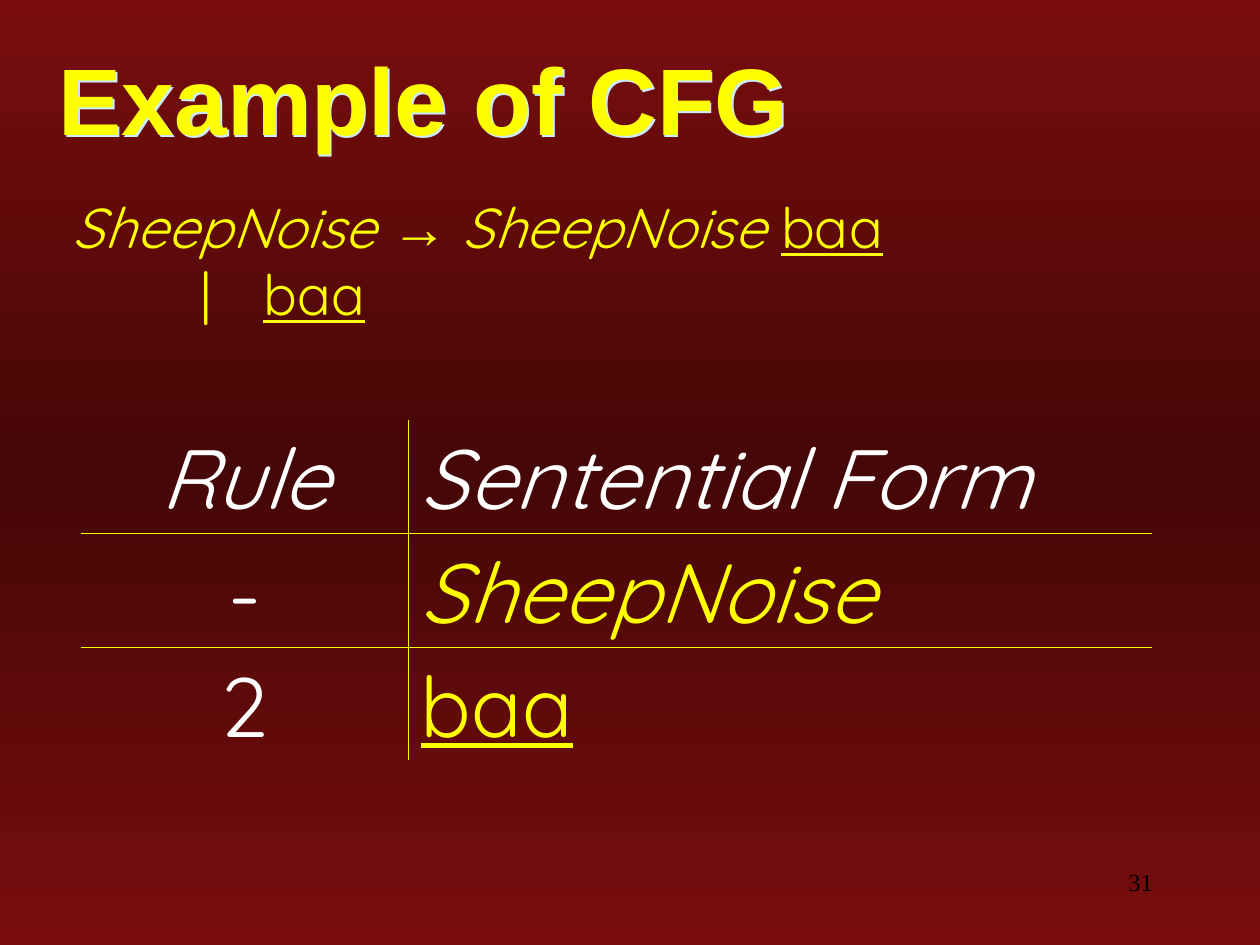
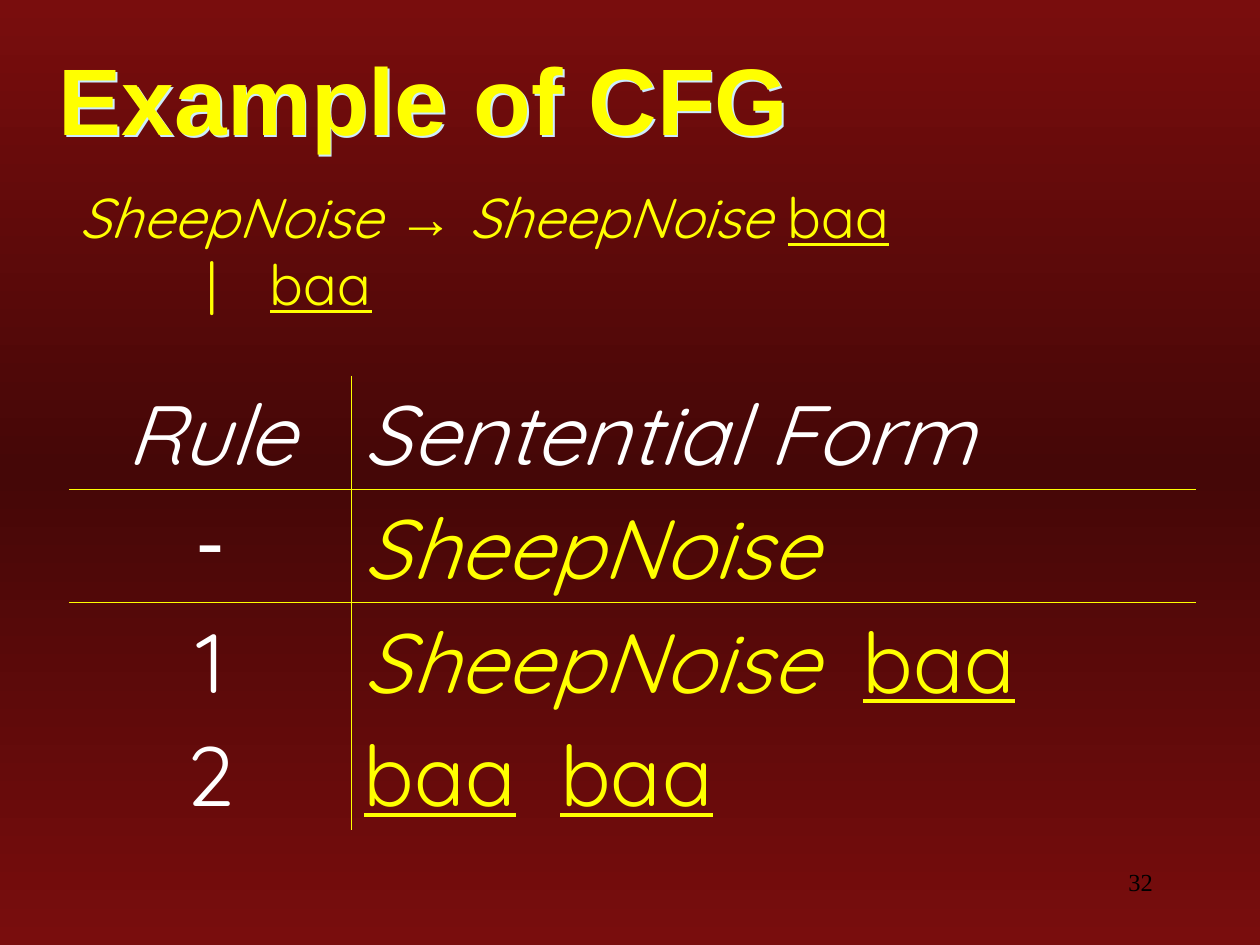
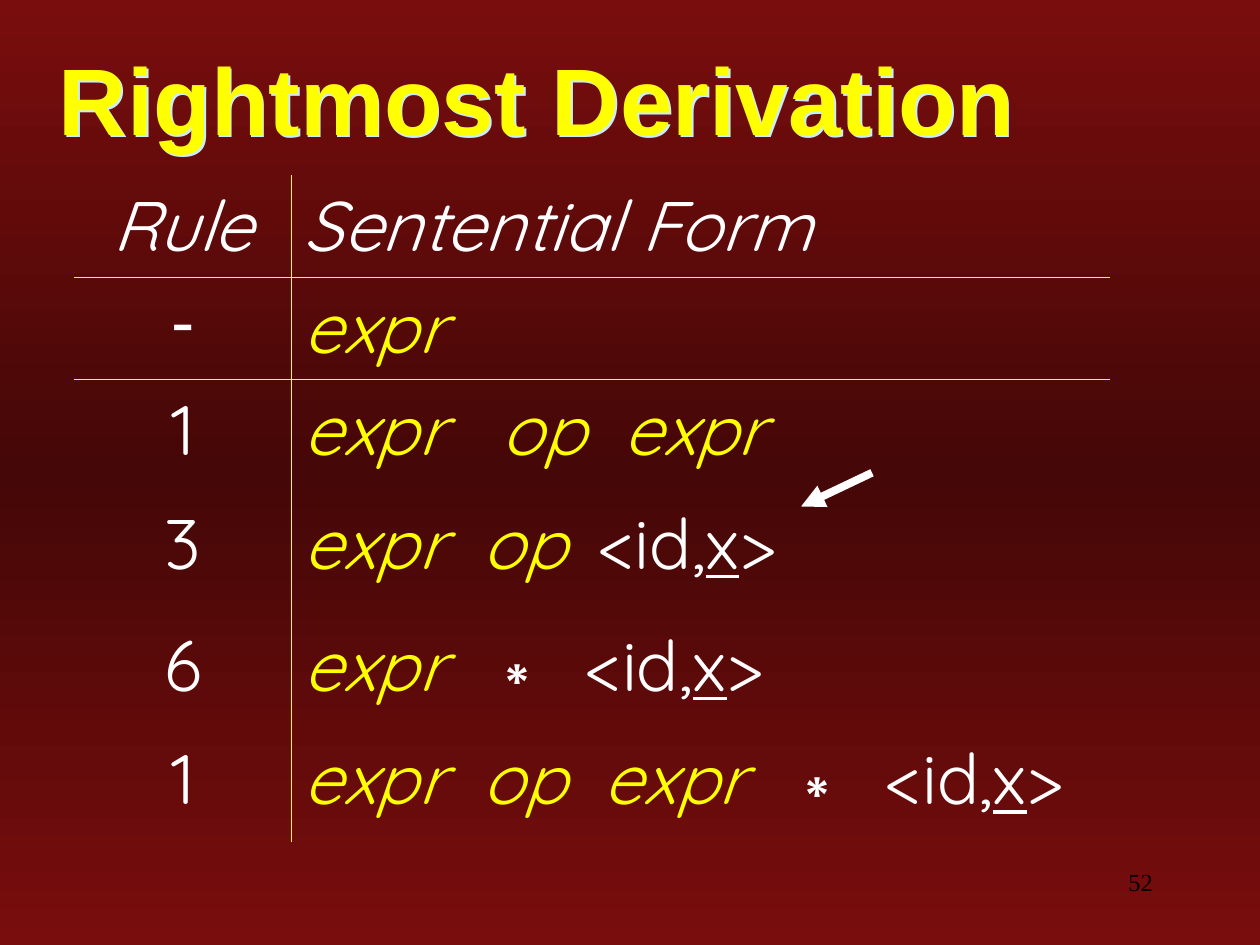
from copy import deepcopy
from dataclasses import dataclass
from typing import NamedTuple

from lxml.etree import SubElement
from pptx import Presentation
from pptx.dml.color import RGBColor
from pptx.enum.shapes import MSO_CONNECTOR
from pptx.enum.text import MSO_ANCHOR, PP_ALIGN
from pptx.oxml.ns import qn
from pptx.util import Cm, Pt

YELLOW = RGBColor(0xFF, 0xFF, 0x00)
WHITE = RGBColor(0xFF, 0xFF, 0xFF)
BLACK = RGBColor(0x00, 0x00, 0x00)
PALE_BLUE = RGBColor(0xCC, 0xEC, 0xFF)
RED = RGBColor(0x79, 0x0D, 0x0D)
DARK_RED = RGBColor(0x45, 0x07, 0x07)

BODY_FONT = "Quicksand"
SYMBOL_FONT = "Arial"
NUMBER_FONT = "Times New Roman"
PLAIN_TABLE_STYLE = "{2D5ABB26-0587-4C30-8999-92F81FD0307C}"
HANGING = 1.3
BAR_TO_TERMINAL = 1.17


class Span(NamedTuple):
    """A piece of text in one format."""
    text: str
    color: RGBColor = WHITE
    italic: bool = False
    underline: bool = False
    font: str = BODY_FONT


class Box(NamedTuple):
    """A place on the slide in centimetres."""
    left: float
    top: float
    width: float
    height: float


class Step(NamedTuple):
    """One derivation step: the rule applied and the form it gives."""
    rule: Span
    form: tuple[Span, ...]
    stops: tuple[float, ...] = ()
    height: float = 2.29


@dataclass
class Derivation:
    """A table of derivation steps."""
    left: float
    top: float
    rule_width: float
    form_width: float
    size: int
    steps: tuple[Step, ...]
    header_height: float = 2.29


@dataclass
class Lesson:
    """The content of one slide."""
    title: str
    number: int
    derivation: Derivation
    grammar_box: Box | None = None
    bar_stop: float = 0
    arrow: tuple[float, float, float, float] | None = None


def nonterminal(text: str) -> Span:
    """Return a grammar symbol that can still be expanded."""
    return Span(text, YELLOW, italic=True)


GAP = Span("\t", YELLOW)
BAA = Span("baa", YELLOW, underline=True)
SHEEP_NOISE = nonterminal("SheepNoise")
TIMES = Span("∗", font=SYMBOL_FONT)
START = Span("-", font=SYMBOL_FONT)
ID_X = (Span("<id,"), Span("x", underline=True), Span(">"))
HEADER = Step(Span("Rule", italic=True), (Span("Sentential Form", italic=True),))

TITLE_BOX = Box(0.94, 0.91, 24.46, 2.11)
NUMBER_BOX = Box(18.21, 17.35, 5.28, 1.27)

LESSONS = (
    Lesson(
        "Example of CFG", 31,
        Derivation(1.63, 8.46, 6.6, 15, 48, (
            Step(Span("-"), (SHEEP_NOISE,)),
            Step(Span("2"), (BAA,)),
        )),
        grammar_box=Box(1.22, 3.76, 24.77, 3.23), bar_stop=7.62,
    ),
    Lesson(
        "Example of CFG", 32,
        Derivation(1.4, 7.57, 5.68, 17.03, 48, (
            Step(START, (SHEEP_NOISE,)),
            Step(Span("1"), (SHEEP_NOISE, GAP, BAA), (10.06,)),
            Step(Span("2"), (BAA, GAP, BAA), (3.96,)),
        )),
        grammar_box=Box(1.35, 3.56, 24.77, 3.15), bar_stop=10.16,
    ),
    Lesson(
        "Rightmost Derivation", 52,
        Derivation(1.5, 3.53, 4.37, 16.51, 40, (
            Step(START, (nonterminal("expr"),), height=2.06),
            Step(Span("1"), (nonterminal("expr\top\texpr"),), (3.99, 6.45)),
            Step(Span("3"), (nonterminal("expr\top\t"), *ID_X), (3.61, 5.94), 2.46),
            Step(Span("6"), (nonterminal("expr\t"), TIMES, GAP, *ID_X), (3.61, 5.68)),
            Step(Span("1"), (nonterminal("expr\top\texpr\t"), TIMES, GAP, *ID_X),
                 (3.61, 6.05, 9.65, 11.73)),
        ), header_height=2.06),
        arrow=(17.58, 9.53, 16.15, 10.21),
    ),
)


def write_text(paragraph, text: str, *, size: int, color: RGBColor, font: str = BODY_FONT,
               bold: bool = False, italic: bool = False, underline: bool = False) -> None:
    """Append a formatted run to a paragraph."""
    run = paragraph.add_run()
    run.text = text
    run.font.size = Pt(size)
    run.font.name = font
    run.font.color.rgb = color
    run.font.bold = bold
    run.font.italic = italic
    run.font.underline = underline


def write_spans(paragraph, spans: tuple[Span, ...], size: int) -> None:
    """Append several spans of one size."""
    for span in spans:
        write_text(paragraph, size=size, **span._asdict())


def set_tab_stops(paragraph, stops: tuple[float, ...]) -> None:
    """Give a paragraph left tab stops in centimetres."""
    if stops:
        tabs = SubElement(paragraph._p.get_or_add_pPr(), qn("a:tabLst"))
        for stop in stops:
            SubElement(tabs, qn("a:tab"), pos=str(Cm(stop)), algn="l")


def add_box(slide, box: Box):
    """Add a wrapping text box."""
    area = slide.shapes.add_textbox(*(Cm(length) for length in box))
    area.text_frame.word_wrap = True
    return area


def add_title(slide, title: str) -> None:
    """Add the slide title with its thin pale shadow."""
    heading = add_box(slide, TITLE_BOX)
    heading.text_frame.vertical_anchor = MSO_ANCHOR.MIDDLE
    write_text(heading.text_frame.paragraphs[0], title, size=54, color=YELLOW,
               font=SYMBOL_FONT, bold=True)
    effects = SubElement(heading._element.spPr, qn("a:effectLst"))
    shadow = SubElement(effects, qn("a:outerShdw"), dist=str(Pt(1.5)), dir="2700000")
    SubElement(shadow, qn("a:srgbClr"), val=str(PALE_BLUE))


def add_number(slide, number: int) -> None:
    """Add the slide number."""
    paragraph = add_box(slide, NUMBER_BOX).text_frame.paragraphs[0]
    paragraph.alignment = PP_ALIGN.RIGHT
    write_text(paragraph, str(number), size=14, color=BLACK, font=NUMBER_FONT)


def add_grammar(slide, box: Box, bar_stop: float) -> None:
    """Add the two productions of the sheep noise grammar."""
    productions = add_box(slide, box).text_frame.paragraphs[0]
    properties = productions._p.get_or_add_pPr()
    properties.set("marL", str(Cm(HANGING)))
    properties.set("indent", str(-Cm(HANGING)))
    set_tab_stops(productions, (bar_stop, bar_stop + BAR_TO_TERMINAL))
    write_spans(productions, (
        nonterminal("SheepNoise "), Span("→", YELLOW, True, font=SYMBOL_FONT),
        nonterminal(" SheepNoise "), BAA), 32)
    productions.add_line_break()
    write_spans(productions, (Span("\t|\t", YELLOW), BAA), 32)


def set_border(cell, side: str) -> None:
    """Draw one thin side of a cell."""
    properties = cell._tc.get_or_add_tcPr()
    line = SubElement(properties, qn(f"a:{side}"), w=str(Pt(0.45)))
    SubElement(SubElement(line, qn("a:solidFill")), qn("a:srgbClr"), val=str(YELLOW))


def add_derivation(slide, derivation: Derivation) -> None:
    """Add the table of rules and sentential forms."""
    steps = (HEADER._replace(height=derivation.header_height), *derivation.steps)
    widths = (derivation.rule_width, derivation.form_width)
    table = slide.shapes.add_table(
        len(steps), 2, Cm(derivation.left), Cm(derivation.top), Cm(sum(widths)),
        Cm(sum(step.height for step in steps))).table
    table.first_row = table.horz_banding = False
    table._tbl.tblPr.find(qn("a:tableStyleId")).text = PLAIN_TABLE_STYLE
    for column, width in zip(table.columns, widths):
        column.width = Cm(width)
    for index, (row, step) in enumerate(zip(table.rows, steps)):
        row.height = Cm(step.height)
        rule, form = row.cells
        rule.text_frame.paragraphs[0].alignment = PP_ALIGN.CENTER
        set_tab_stops(form.text_frame.paragraphs[0], step.stops)
        for cell, spans, inner_side in ((rule, (step.rule,), "lnR"), (form, step.form, "lnL")):
            write_spans(cell.text_frame.paragraphs[0], spans, derivation.size)
            set_border(cell, inner_side)
            if index == 1:
                set_border(cell, "lnT")
            if index == 0:
                set_border(cell, "lnB")
            cell.fill.background()


def add_arrow(slide, ends: tuple[float, float, float, float]) -> None:
    """Add the arrow that points at a step."""
    arrow = slide.shapes.add_connector(MSO_CONNECTOR.STRAIGHT, *(Cm(end) for end in ends))
    arrow.line.color.rgb = WHITE
    arrow.line.width = Pt(4.5)
    SubElement(arrow.line._get_or_add_ln(), qn("a:tailEnd"), type="triangle")
    SubElement(arrow._element.spPr, qn("a:effectLst"))


def set_background(master) -> None:
    """Give every slide the red gradient, darkest in the middle."""
    fill = master.background.fill
    fill.gradient()
    fill.gradient_angle = 270
    first = fill.gradient_stops[0]._gs
    first.addnext(deepcopy(first))
    for stop, position, color in zip(fill.gradient_stops, (0, 0.5, 1), (RED, DARK_RED, RED)):
        stop.position = position
        stop.color.rgb = color
        stop.color.brightness = 0


def add_lesson(presentation, lesson: Lesson) -> None:
    """Build one slide."""
    slide = presentation.slides.add_slide(presentation.slide_layouts[6])
    add_title(slide, lesson.title)
    if lesson.grammar_box:
        add_grammar(slide, lesson.grammar_box, lesson.bar_stop)
    add_derivation(slide, lesson.derivation)
    if lesson.arrow:
        add_arrow(slide, lesson.arrow)
    add_number(slide, lesson.number)


def main() -> None:
    """Build and save the presentation."""
    presentation = Presentation()
    presentation.slide_width = Cm(25.4)
    presentation.slide_height = Cm(19.05)
    set_background(presentation.slide_master)
    for lesson in LESSONS:
        add_lesson(presentation, lesson)
    presentation.save("out.pptx")


if __name__ == "__main__":
    main()
